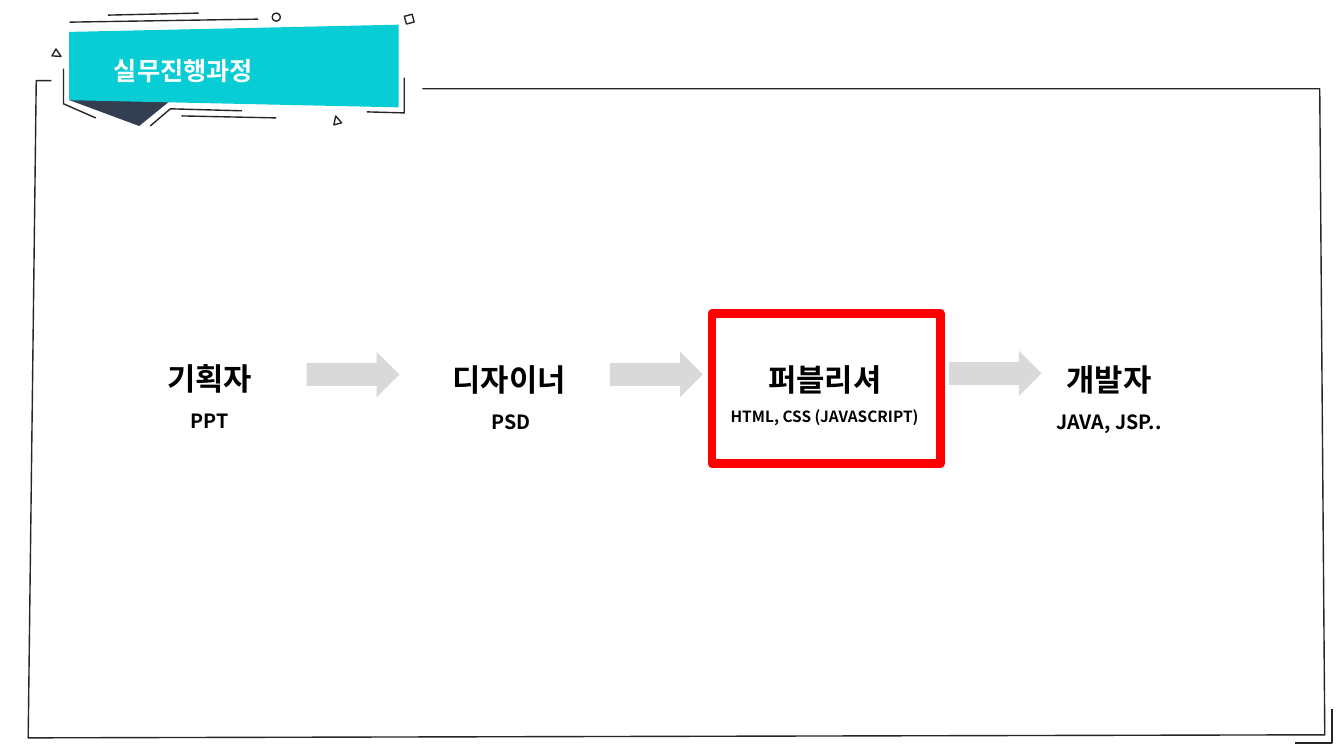
from lxml import etree
from pptx import Presentation
from pptx.dml.color import RGBColor
from pptx.enum.shapes import MSO_CONNECTOR, MSO_SHAPE
from pptx.enum.text import MSO_ANCHOR, MSO_AUTO_SIZE, PP_ALIGN
from pptx.oxml.ns import qn
from pptx.util import Inches, Pt

STRAIGHT = MSO_CONNECTOR.STRAIGHT
RECTANGLE, OVAL = MSO_SHAPE.RECTANGLE, MSO_SHAPE.OVAL
TRIANGLE, TRAPEZOID = MSO_SHAPE.ISOSCELES_TRIANGLE, MSO_SHAPE.TRAPEZOID
RIGHT_ARROW = MSO_SHAPE.RIGHT_ARROW
TOP = MSO_ANCHOR.TOP
GROW = MSO_AUTO_SIZE.SHAPE_TO_FIT_TEXT
LEFT, CENTER = PP_ALIGN.LEFT, PP_ALIGN.CENTER

WHITE = RGBColor(0xFF, 0xFF, 0xFF)
BLACK = RGBColor(0x00, 0x00, 0x00)
INK = RGBColor(0x26, 0x26, 0x26)
NAVY = RGBColor(0x33, 0x3F, 0x50)
TEAL = RGBColor(0x08, 0xCD, 0xD5)
GRAY = RGBColor(0xD9, 0xD9, 0xD9)
RED = RGBColor(0xFF, 0x00, 0x00)
FONT = "Noto Sans CJK KR"

FRAME = [(4.19, 0.88), (13.09, 0.88), (13.14, 7.29), (0.28, 7.32), (0.36, 0.8), (0.51, 0.8)]
FRAME_CORNER = [(13.21, 7.03), (13.21, 7.37), (12.84, 7.37)]
BANNER_BRACKETS = [
    [(0.63, 0.68), (0.63, 1.03), (0.95, 1.17)],
    [(1.49, 1.25), (1.69, 1.08), (2.4, 1.1)],
    [(4.01, 0.77), (4.01, 1.12), (3.64, 1.11)],
]
BANNER_STROKES = [
    (0.69, 0.22, 2.56, 0.19),
    (1.07, 0.15, 1.97, 0.13),
    (1.8, 1.15, 2.74, 1.17),
]
BANNER_MARKS = [
    (OVAL, 2.7, 0.13, 0),
    (TRIANGLE, 3.3, 1.15, 345),
    (RECTANGLE, 4.02, 0.15, 345),
    (TRIANGLE, 0.53, 0.5, 120),
]
STEPS = [
    (1.03, 3.34, 1.16, "기획자", "PPT", 14),
    (4, 3.35, 1.01, "디자이너", " PSD", 14),
    (7.13, 3.35, 0.93, "퍼블리셔", "HTML, CSS (JAVASCRIPT)", 11),
    (9.95, 3.35, 1.01, "개발자", "JAVA, JSP..", 14),
]
STEP_ARROWS = [(3.04, 3.49), (6.05, 3.49), (9.41, 3.48)]


def paint(shape, fill=None, line=None, width=1):
    """Set the fill and outline of a shape and drop its shadow."""
    shape.shadow.inherit = False
    if fill is None:
        shape.fill.background()
    else:
        shape.fill.solid()
        shape.fill.fore_color.rgb = fill
    if line is None:
        shape.line.fill.background()
    else:
        shape.line.color.rgb = line
        shape.line.width = Pt(width)


def add_preset(s, kind, x, y, w, h, rotation=0, adjust=None, **style):
    """Add a preset shape with its rotation, adjustment and style."""
    shape = s.shapes.add_shape(kind, Inches(x), Inches(y), Inches(w), Inches(h))
    shape.rotation = rotation
    if adjust is not None:
        shape.adjustments[0] = adjust
    paint(shape, **style)


def add_outline(s, points, fill=None):
    """Add an open outline through points given in inches."""
    start, *rest = [(Inches(x), Inches(y)) for x, y in points]
    builder = s.shapes.build_freeform(*start)
    builder.add_line_segments(rest, close=False)
    paint(builder.convert_to_shape(), fill=fill, line=INK)


def add_stroke(s, x1, y1, x2, y2):
    """Add a thin straight line."""
    line = s.shapes.add_connector(STRAIGHT, Inches(x1), Inches(y1), Inches(x2), Inches(y2))
    line.line.color.rgb = INK
    line.line.width = Pt(1)
    etree.SubElement(line.element.spPr, qn("a:effectLst"))


def write(p, text, size, color=BLACK, align=CENTER):
    """Write one bold run into a paragraph."""
    p.alignment = align
    p.line_spacing = 1.5
    r = p.add_run()
    r.text = text
    r.font.size = Pt(size)
    r.font.bold = True
    r.font.color.rgb = color
    r.font.name = FONT
    etree.SubElement(r.font._element, qn("a:ea"), typeface=FONT)


def add_banner(s):
    """Draw the title banner with its decorations."""
    add_preset(s, TRIANGLE, 0.68, 0.99, 1.02, 0.26, rotation=180, adjust=0.314, fill=NAVY)
    add_preset(s, TRAPEZOID, 1.91, -0.98, 0.82, 3.27, rotation=270, adjust=0.087, fill=TEAL)
    for stroke in BANNER_STROKES:
        add_stroke(s, *stroke)
    for points in BANNER_BRACKETS:
        add_outline(s, points)
    for kind, x, y, rotation in BANNER_MARKS:
        add_preset(s, kind, x, y, 0.08, 0.08, rotation=rotation, line=INK)


def place_title(s, text):
    """Put the title placeholder in front of the banner."""
    title = s.shapes.title
    title.left, title.top = Inches(1.03), Inches(0.35)
    title.width, title.height = Inches(1.7), Inches(0.55)
    tf = title.text_frame
    tf.word_wrap = False
    tf.auto_size = GROW
    tf.vertical_anchor = TOP
    write(tf.paragraphs[0], text, 18, color=WHITE, align=LEFT)
    title.element.getparent().append(title.element)


def add_step(s, x, y, h, role, output, output_size):
    """Add a role with its output below."""
    tf = s.shapes.add_textbox(Inches(x), Inches(y), Inches(2.1), Inches(h)).text_frame
    tf.word_wrap = True
    tf.auto_size = GROW
    write(tf.paragraphs[0], role, 22)
    write(tf.add_paragraph(), output, output_size)


def main():
    """Build the work process slide."""
    prs = Presentation()
    prs.slide_width, prs.slide_height = Inches(13.33), Inches(7.5)
    s = prs.slides.add_slide(prs.slide_layouts[5])
    add_outline(s, FRAME, fill=WHITE)
    add_outline(s, FRAME_CORNER)
    add_banner(s)
    place_title(s, "실무진행과정")
    for step in STEPS:
        add_step(s, *step)
    for x, y in STEP_ARROWS:
        add_preset(s, RIGHT_ARROW, x, y, 0.92, 0.45, fill=GRAY)
    add_preset(s, RECTANGLE, 7.06, 3.11, 2.27, 1.49, line=RED, width=6)
    prs.save("out.pptx")


if __name__ == "__main__":
    main()
